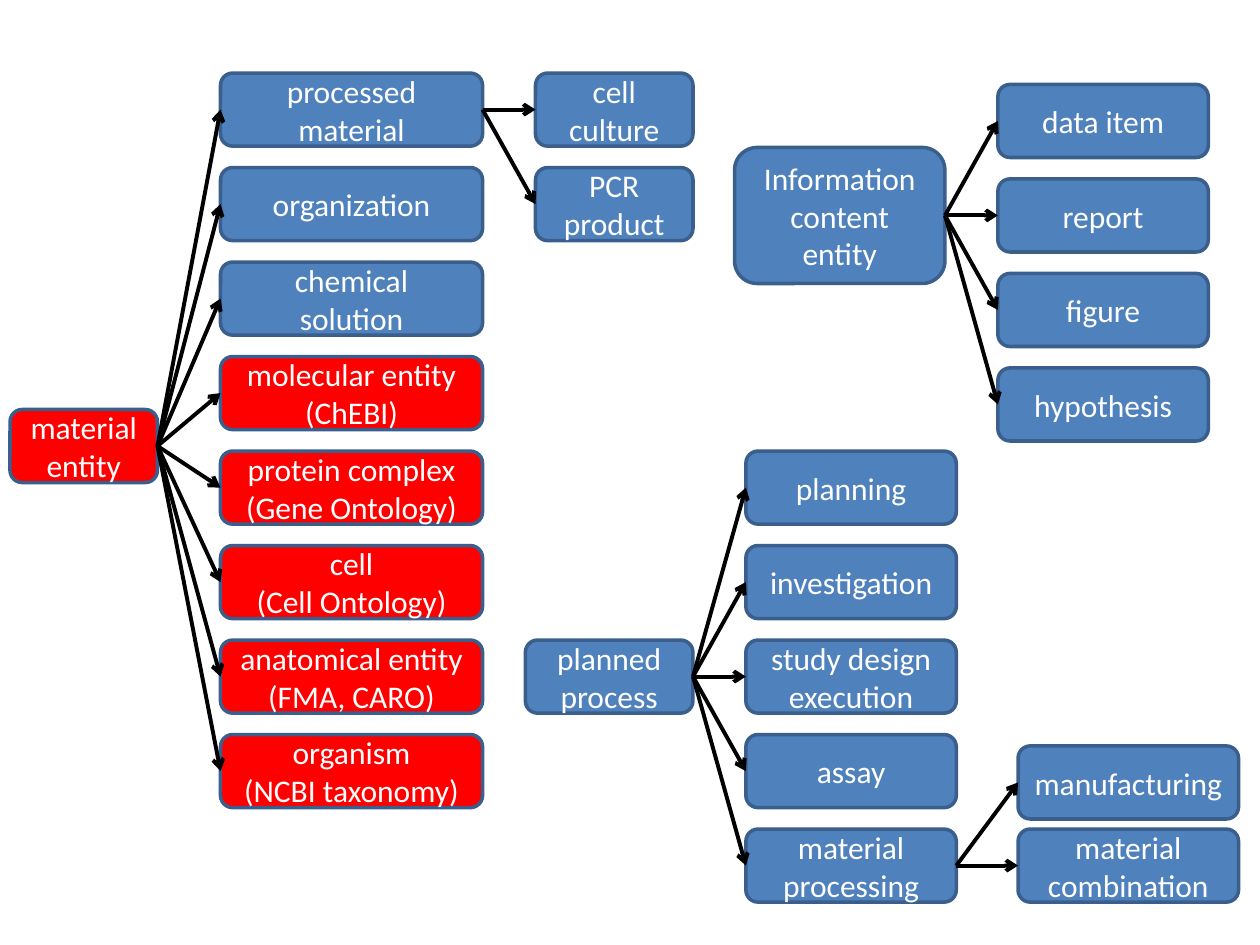
from pptx import Presentation
from pptx.dml.color import RGBColor
from pptx.enum.shapes import MSO_CONNECTOR, MSO_SHAPE
from pptx.enum.text import MSO_ANCHOR, PP_ALIGN
from pptx.oxml.ns import qn
from pptx.util import Inches, Pt
from lxml.etree import SubElement

COLORS = {
    name: RGBColor.from_string(value)
    for name, value in {
        "own": "4F81BD", "imported": "FF0000", "outline": "3A5F8C",
        "arrow": "000000", "text": "FFFFFF",
    }.items()
}
FONT = {"name": "Calibri", "size": Pt(18)}
BOX_HEIGHT = 0.58
ROW_STEP = 0.75
RIGHT_SITE, LEFT_SITE = 3, 1


def add_box(text, left, top, width, height=BOX_HEIGHT, color="own"):
    shape = slide.shapes.add_shape(
        MSO_SHAPE.ROUNDED_RECTANGLE,
        Inches(left), Inches(top), Inches(width), Inches(height))
    shape.shadow.inherit = False
    shape.fill.solid()
    shape.fill.fore_color.rgb = COLORS[color]
    shape.line.color.rgb = COLORS["outline"]
    shape.line.width = Pt(2)
    frame = shape.text_frame
    frame.word_wrap = True
    frame.vertical_anchor = MSO_ANCHOR.MIDDLE
    paragraph = frame.paragraphs[0]
    paragraph.text = text
    paragraph.alignment = PP_ALIGN.CENTER
    for attribute, value in FONT.items():
        setattr(paragraph.font, attribute, value)
    paragraph.font.color.rgb = COLORS["text"]
    return shape


def add_arrow(parent, child):
    """Join the right side of parent to the left side of child."""
    connector = slide.shapes.add_connector(MSO_CONNECTOR.STRAIGHT, 0, 0, 0, 0)
    connector.begin_connect(parent, RIGHT_SITE)
    connector.end_connect(child, LEFT_SITE)
    connector.line.color.rgb = COLORS["arrow"]
    connector.line.width = Pt(2.25)
    SubElement(connector.line._get_or_add_ln(), qn("a:tailEnd"), type="arrow")
    SubElement(connector._element.spPr, qn("a:effectLst"))


presentation = Presentation()
presentation.slide_width = Inches(10)
presentation.slide_height = Inches(7.5)
slide = presentation.slides.add_slide(presentation.slide_layouts[6])

# Root terms: text, left, top, width, height, color
roots = [
    ("material entity", 0.08, 3.25, 1.17, BOX_HEIGHT, "imported"),
    ("planned process", 4.17, 5.08, 1.33, BOX_HEIGHT, "own"),
    ("Information content entity", 5.83, 1.17, 1.67, 1.08, "own"),
]
boxes = {root[0]: add_box(*root) for root in roots}

# Child columns: parent, left, first top, width, row step, color and text of each child
columns = [
    ("material entity", 1.75, 0.58, 2.08, ROW_STEP, [
        ("own", "processed material"),
        ("own", "organization"),
        ("own", "chemical\nsolution"),
        ("imported", "molecular entity (ChEBI)"),
        ("imported", "protein complex\n(Gene Ontology)"),
        ("imported", "cell\n(Cell Ontology)"),
        ("imported", "anatomical entity (FMA, CARO)"),
        ("imported", "organism\n(NCBI taxonomy)"),
    ]),
    ("processed material", 4.25, 0.58, 1.25, ROW_STEP, [
        ("own", "cell culture"),
        ("own", "PCR product"),
    ]),
    ("planned process", 5.92, 3.58, 1.67, ROW_STEP, [
        ("own", "planning"),
        ("own", "investigation"),
        ("own", "study design execution"),
        ("own", "assay"),
        ("own", "material processing"),
    ]),
    ("material processing", 8.08, 5.92, 1.75, 0.66, [
        ("own", "manufacturing"),
        ("own", "material combination"),
    ]),
    ("Information content entity", 7.92, 0.67, 1.67, ROW_STEP, [
        ("own", "data item"),
        ("own", "report"),
        ("own", "figure"),
        ("own", "hypothesis"),
    ]),
]
for parent, left, first_top, width, step, children in columns:
    for row, (color, text) in enumerate(children):
        boxes[text] = add_box(text, left, first_top + row * step, width, color=color)
        add_arrow(boxes[parent], boxes[text])

presentation.save("out.pptx")
